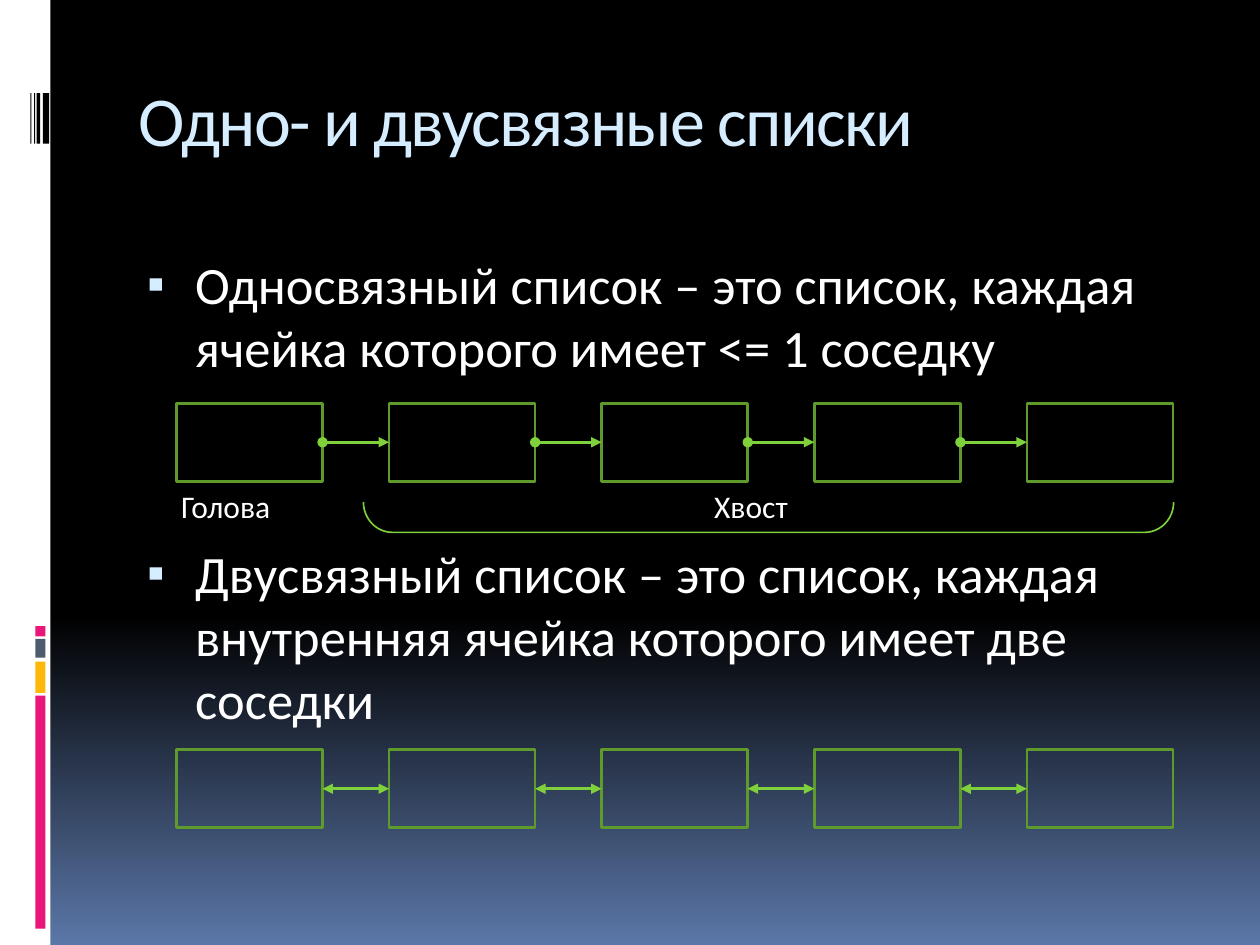
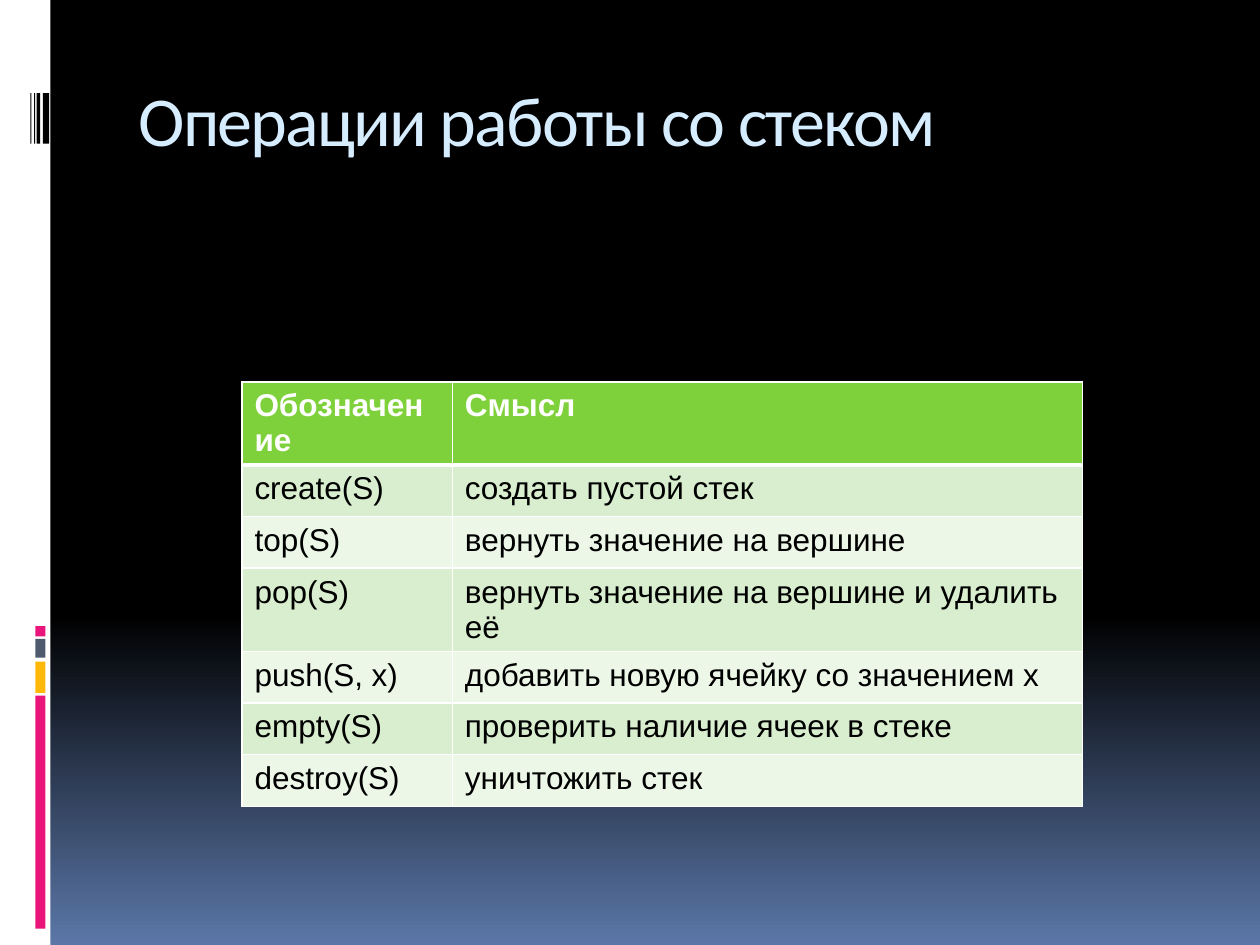
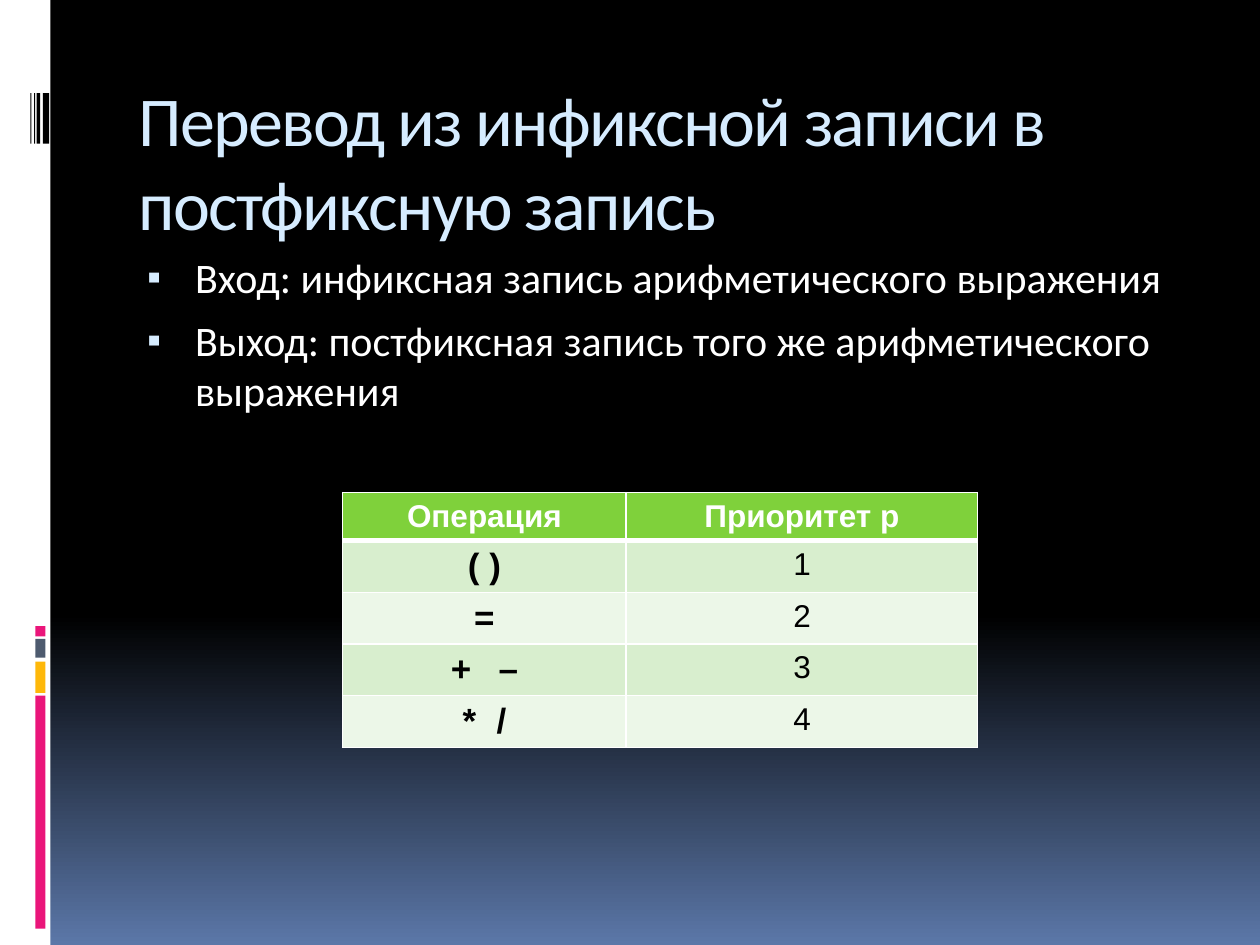
"""Build three slides on linked lists, stacks and postfix notation."""
import pptx
import pptx.dml.color
import pptx.enum.shapes
import pptx.enum.text
import pptx.oxml.ns
import pptx.util
from lxml import etree

Inches = pptx.util.Inches
Pt = pptx.util.Pt
SHAPE = pptx.enum.shapes.MSO_SHAPE
ALIGN = pptx.enum.text.PP_ALIGN

HUES = {
    "white": "FFFFFF", "black": "000000", "sky": "5B77A8", "title": "D6ECFF",
    "pink": "EA157A", "gold": "FEB80A", "slate": "4E5B6F",
    "green": "7FD13B", "edge": "5E9B2C", "odd": "D8EECE", "even": "ECF7E8",
}
BANDS = [
    (0, 0, 0.4, 7.5, "white"),
    (0.28, 5.52, 0.08, 1.85, "pink"),
    (0.28, 5.25, 0.08, 0.25, "gold"),
    (0.28, 5.07, 0.08, 0.15, "slate"),
    (0.28, 4.97, 0.08, 0.08, "pink"),
    (0.34, 0.74, 0.05, 0.4, "black"),
    (0.29, 0.74, 0.03, 0.4, "black"),
    (0.27, 0.74, 0.01, 0.4, "black"),
    (0.24, 0.74, 0.01, 0.4, "black"),
]
STACK = [
    ("Обозначение", "Смысл"),
    ("create(S)", "создать пустой стек"),
    ("top(S)", "вернуть значение на вершине"),
    ("pop(S)", "вернуть значение на вершине и удалить её"),
    ("push(S, x)", "добавить новую ячейку со значением x"),
    ("empty(S)", "проверить наличие ячеек в стеке"),
    ("destroy(S)", "уничтожить стек"),
]
RANKS = [
    ("Операция", "Приоритет p"),
    ("( )", "1"),
    ("=", "2"),
    ("+ –", "3"),
    ("* /", "4"),
]
GAPS = {"+ –": 5, "* /": 3}


def tint(name):
    """Return the named colour."""
    return pptx.dml.color.RGBColor.from_string(HUES[name])


def node(parent, tag, **attrs):
    """Append a drawing element to its parent."""
    item = etree.SubElement(parent, pptx.oxml.ns.qn("a:" + tag))
    for key, value in attrs.items():
        item.set(key, str(value))
    return item


def place(*sizes):
    """Turn numbers into lengths."""
    return [Inches(size) for size in sizes]


def write(para, text, size, hue="white", face="Calibri", bold=False, gap=0):
    """Add one run with its font and letter gap in points."""
    run = para.add_run()
    run.text = text
    run.font.size = Pt(size)
    run.font.name = face
    run.font.bold = bold
    run.font.color.rgb = tint(hue)
    if gap:
        run.font._element.set("spc", str(gap * 100))


def block(shapes, kind, spot, fill=None, line=None, width=1.5):
    """Add a plain shape."""
    shape = shapes.add_shape(kind, *place(*spot))
    shape.shadow.inherit = False
    if fill:
        shape.fill.solid()
        shape.fill.fore_color.rgb = tint(fill)
    else:
        shape.fill.background()
    if line:
        shape.line.color.rgb = tint(line)
        shape.line.width = Pt(width)
    else:
        shape.line.fill.background()
    return shape


def theme(deck, slide, layout):
    """Set the shared backdrop and side bands."""
    fill = deck.slide_master.background.fill
    fill.gradient()
    fill.gradient_angle = 270
    for stop, spot, hue in zip(fill.gradient_stops, (0.65, 1), ("black", "sky")):
        stop.position = spot
        stop.color.rgb = tint(hue)
    for num, (*spot, hue) in enumerate(BANDS, 101):
        band = block(slide.shapes, SHAPE.RECTANGLE, spot, fill=hue)
        band.element.nvSpPr.cNvPr.set("id", str(num))
        layout.shapes.element.append(band.element)


def head(slide, text):
    """Move and fill the title."""
    title = slide.shapes.title
    title.left, title.top, title.width, title.height = place(1, 0.56, 8.5, 1)
    frame = title.text_frame
    frame.word_wrap = True
    frame.auto_size = pptx.enum.text.MSO_AUTO_SIZE.NONE
    frame.vertical_anchor = pptx.enum.text.MSO_ANCHOR.TOP
    para = frame.paragraphs[0]
    para.alignment = ALIGN.LEFT
    write(para, text, 40, "title", gap=-1)


def points(slide, texts, size, space):
    """Add the bulleted body text."""
    frame = slide.shapes.add_textbox(*place(1, 1.95, 8.5, 5)).text_frame
    frame.word_wrap = True
    for num, text in enumerate(texts):
        para = frame.add_paragraph() if num else frame.paragraphs[0]
        props = para._p.get_or_add_pPr()
        props.set("marL", str(Inches(0.45)))
        props.set("indent", str(Inches(-0.38)))
        node(node(props, "buClr"), "srgbClr", val=HUES["title"])
        node(props, "buSzPct", val=95000)
        node(props, "buFont", typeface="Arial")
        node(props, "buChar", char="▪")
        if num:
            para.space_before = Pt(space)
        write(para, text, size)


def label(shapes, text, spot):
    """Add a short caption."""
    frame = shapes.add_textbox(*place(*spot)).text_frame
    frame.word_wrap = False
    write(frame.paragraphs[0], text, 18)


def arrow(shapes, left, right, y, start):
    """Join two cells with an arrow."""
    kind = pptx.enum.shapes.MSO_CONNECTOR.STRAIGHT
    link = shapes.add_connector(kind, *place(left, y, right, y))
    link.line.color.rgb = tint("green")
    link.line.width = Pt(1.5)
    line = link.line._get_or_add_ln()
    node(line, "headEnd", type=start)
    node(line, "tailEnd", type="triangle")
    node(link.element.spPr, "effectLst")


def chain(slide, top, start):
    """Draw five linked cells and return their group's shapes."""
    shapes = slide.shapes.add_group_shape().shapes
    wide, tall, count = 1.16, 0.62, 5
    step = (8.15 - 1.4) / (count - 1)
    lefts = [1.4 + step * num for num in range(count)]
    for left in lefts:
        block(shapes, SHAPE.RECTANGLE, (left, top, wide, tall), line="edge")
    for left, after in zip(lefts, lefts[1:]):
        arrow(shapes, left + wide, after, top + tall / 2, start)
    return shapes


def edge(cell, **widths):
    """Draw white cell borders of the given widths in points."""
    props = cell._tc.get_or_add_tcPr()
    for side, width in widths.items():
        line = node(props, "ln" + side, w=Pt(width))
        node(node(line, "solidFill"), "srgbClr", val=HUES["white"])


def grid(slide, data, spot, cols, rows, align, signs=False):
    """Add a banded table, with bold first column if it holds signs."""
    left, top = spot
    size = place(left, top, sum(cols), sum(rows))
    table = slide.shapes.add_table(len(data), len(cols), *size).table
    for col, width in zip(table.columns, cols):
        col.width = Inches(width)
    for num, (row, tall, texts) in enumerate(zip(table.rows, rows, data)):
        row.height = Inches(tall)
        fill = ("even" if num % 2 == 0 else "odd") if num else "green"
        for col, (cell, text) in enumerate(zip(row.cells, texts)):
            edge(cell, L=1, R=1, T=3 if num == 1 else 1, B=1 if num else 3)
            cell.fill.solid()
            cell.fill.fore_color.rgb = tint(fill)
            para = cell.text_frame.paragraphs[0]
            para.alignment = align
            sign = signs and num > 0 and col == 0
            write(para, text, 20 if sign else 18, "black" if num else "white",
                  "Arial", sign or num == 0, GAPS.get(text, 0))


def lists(slide):
    """Fill the slide on linked lists."""
    head(slide, "Одно- и двусвязные списки")
    points(slide, [
        "Односвязный список – это список, каждая ячейка которого имеет <= 1 соседку",
        "Двусвязный список – это список, каждая внутренняя ячейка которого имеет две соседки",
    ], 30, 93)
    shapes = chain(slide, 3.2, "oval")
    label(shapes, "Голова", (1.34, 3.82, 1.07, 0.4))
    label(shapes, "Хвост", (5.57, 3.82, 0.93, 0.4))
    brace = block(shapes, SHAPE.LEFT_BRACKET, (5.98, 0.89, 0.24, 6.43),
                  line="green", width=0.94)
    brace.adjustments[0] = 0.96
    brace.rotation = 270
    chain(slide, 5.95, "triangle")


def stack(slide):
    """Fill the slide on stack calls."""
    head(slide, "Операции работы со стеком")
    grid(slide, STACK, (1.92, 3.03), (1.67, 5), [0.41] * 7, ALIGN.LEFT)


def postfix(slide):
    """Fill the slide on postfix notation."""
    head(slide, "Перевод из инфиксной записи в постфиксную запись")
    grid(slide, RANKS, (2.72, 3.91), (2.25, 2.79), [0.38] + [0.41] * 4,
         ALIGN.CENTER, signs=True)
    points(slide, [
        "Вход: инфиксная запись арифметического выражения",
        "Выход: постфиксная запись того же арифметического выражения",
    ], 24, 7)


def main():
    """Build and save the deck."""
    deck = pptx.Presentation()
    deck.slide_width, deck.slide_height = place(10, 7.5)
    layout = deck.slide_layouts[5]
    slides = [deck.slides.add_slide(layout) for _ in range(3)]
    theme(deck, slides[0], layout)
    for fill, slide in zip((lists, stack, postfix), slides):
        fill(slide)
    deck.save("out.pptx")


if __name__ == "__main__":
    main()
